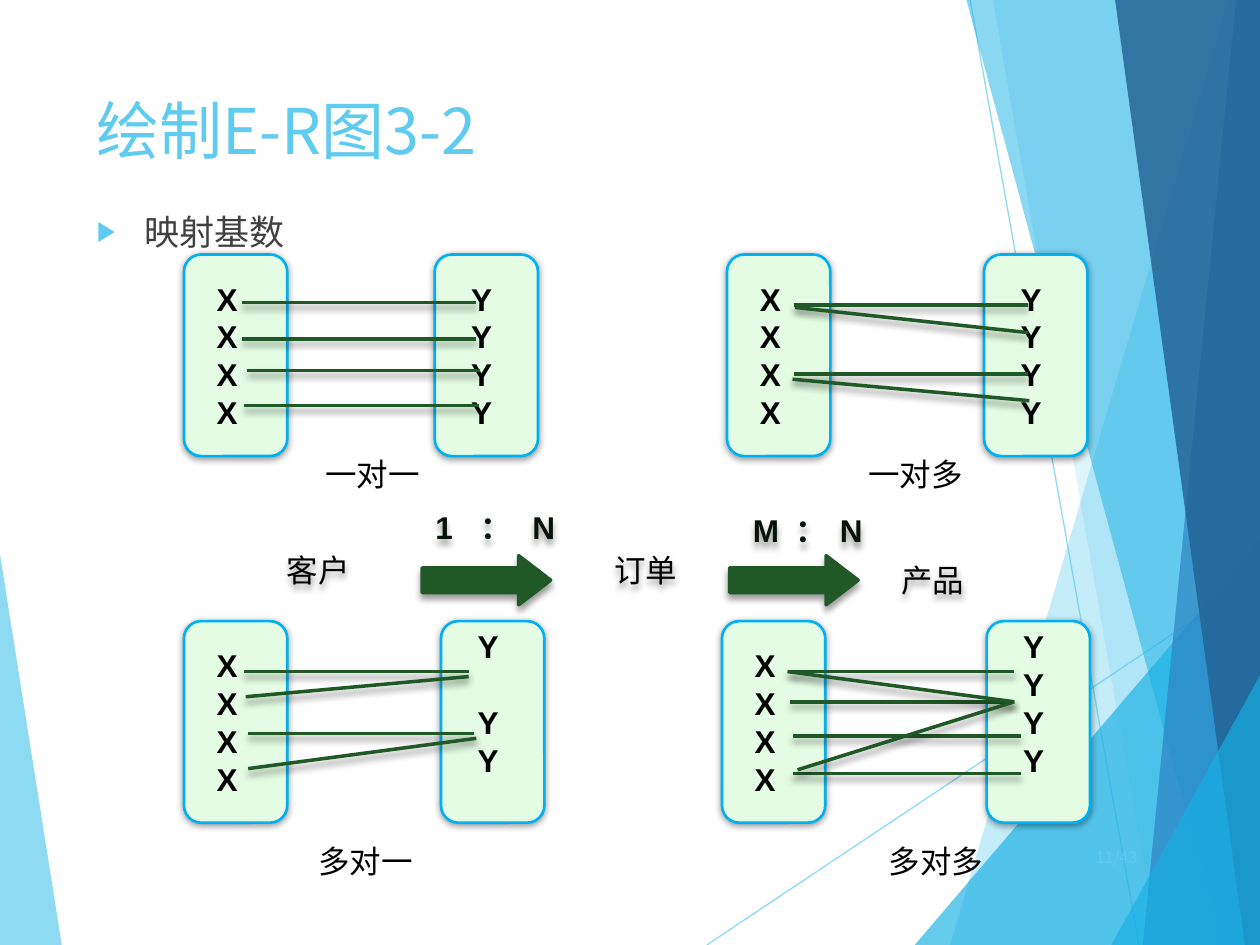
from dataclasses import dataclass

from lxml import etree
from pptx import Presentation
from pptx.dml.color import RGBColor
from pptx.enum.shapes import MSO_CONNECTOR, MSO_SHAPE
from pptx.enum.text import MSO_ANCHOR, PP_ALIGN
from pptx.oxml.ns import qn
from pptx.util import Inches, Pt

STRAIGHT = MSO_CONNECTOR.STRAIGHT
ROUNDED, ARROW = MSO_SHAPE.ROUNDED_RECTANGLE, MSO_SHAPE.RIGHT_ARROW
TOP, MIDDLE = MSO_ANCHOR.TOP, MSO_ANCHOR.MIDDLE
LEFT, CENTER = PP_ALIGN.LEFT, PP_ALIGN.CENTER
COLUMNS, ROWS = 20, 15
CELL = Inches(0.5)
CARD_WIDTH = 1.64
LETTER_ROW = 0.6


@dataclass(frozen=True)
class Theme:
    sky: str = "5FCBEF"
    cyan: str = "17B0E4"
    blue: str = "2E83C3"
    navy: str = "226292"
    card: str = "E4FCE4"
    card_line: str = "00B0F0"
    link: str = "215828"
    text: str = "000000"
    ratio: str = "071208"
    bullet_text: str = "404040"
    heading_font: str = "Noto Sans CJK SC"
    body_font: str = "Arial"
    entity_font: str = "Cabin"
    title_size: float = 36
    bullet_size: float = 20
    body_size: float = 18
    page_size: float = 9


THEME = Theme()


def grid(*cells):
    return [round(cell * CELL) for cell in cells]


def child(parent, tag, **attributes):
    return etree.SubElement(parent, qn(tag), attributes)


def paint(fill, color, opacity=100):
    fill.solid()
    fill.fore_color.rgb = RGBColor.from_string(color)
    if opacity < 100:
        for node in fill._xPr.iter(qn("a:srgbClr")):
            child(node, "a:alpha", val=str(opacity * 1000))


def outline(shape, color, width, opacity=100):
    paint(shape.line.fill, color, opacity)
    shape.line.width = Pt(width)


def set_shadow(shape, distance=None):
    effects = child(shape._element.spPr, "a:effectLst")
    if distance:
        shadow = child(effects, "a:outerShdw", blurRad=str(Pt(4)),
                       dist=str(Pt(distance)), dir="5400000", rotWithShape="0")
        color = child(shadow, "a:srgbClr", val="000000")
        child(color, "a:alpha", val="40000")


def set_font(paragraph, size, color, name, bold=False):
    font = paragraph.font
    font.size, font.name, font.bold = Pt(size), name, bold
    font.color.rgb = RGBColor.from_string(color)


def add_text(slide, box, text, size, color, name, align=LEFT, anchor=TOP):
    shape = slide.shapes.add_textbox(*grid(*box))
    frame = shape.text_frame
    frame.word_wrap, frame.vertical_anchor = True, anchor
    paragraph = frame.paragraphs[0]
    paragraph.text, paragraph.alignment = text, align
    set_font(paragraph, size, color, name)
    return shape


def add_line(slide, ends, color, width, opacity=100, shadow=None):
    line = slide.shapes.add_connector(STRAIGHT, *grid(*ends))
    outline(line, color, width, opacity)
    set_shadow(line, shadow)


def add_facet(slide, points, color, opacity):
    start, *others = [grid(*point) for point in points]
    builder = slide.shapes.build_freeform(*start)
    builder.add_line_segments(others, close=True)
    shape = builder.convert_to_shape()
    paint(shape.fill, color, opacity)
    shape.line.fill.background()
    set_shadow(shape)


def draw_backdrop(slide, box):
    left, top, width, height = box
    right, bottom = left + width, top + height
    add_facet(slide, [(left, 8.8), (0.98, bottom), (left, bottom)], THEME.sky, 70)
    add_line(slide, (11.22, bottom, right, 9.14), THEME.sky, 0.75, 70)
    add_line(slide, (15.4, top, 18.08, bottom), THEME.sky, 0.75, 70)
    facets = [
        (19.5, top, 15.08, THEME.sky, 36),
        (15.76, top, 18.38, THEME.sky, 20),
        (right, 8.58, 14.52, THEME.cyan, 66),
        (15.34, top, 19.4, THEME.cyan, 50),
        (19.62, top, 18.14, THEME.blue, 70),
        (17.7, top, 19.76, THEME.navy, 82),
        (right, 10.72, 17.64, THEME.cyan, 66),
    ]
    for upper_x, upper_y, lower_x, color, opacity in facets:
        points = [(upper_x, upper_y), (lower_x, bottom), (right, bottom), (right, upper_y)]
        add_facet(slide, points, color, opacity)


def draw_heading(slide, box):
    left, top, width, height = box
    add_text(slide, (left, top, width, 1.42), "绘制E-R图3-2", THEME.title_size,
             THEME.sky, THEME.heading_font, anchor=MIDDLE)
    shape = slide.shapes.add_textbox(*grid(left, top + 1.9, width, height - 1.9))
    shape.text_frame.word_wrap = True
    paragraph = shape.text_frame.paragraphs[0]
    paragraph.text = "映射基数"
    properties = paragraph._p.get_or_add_pPr()
    indent = Inches(0.38)
    properties.set("marL", str(indent))
    properties.set("indent", str(-indent))
    child(child(properties, "a:buClr"), "a:srgbClr", val=THEME.sky)
    child(properties, "a:buSzPct", val="80000")
    child(properties, "a:buFont", typeface=THEME.body_font)
    child(properties, "a:buChar", char="▶")
    set_font(paragraph, THEME.bullet_size, THEME.bullet_text, THEME.heading_font)


def draw_card(slide, box, letters, inset):
    shape = slide.shapes.add_shape(ROUNDED, *grid(*box))
    paint(shape.fill, THEME.card)
    outline(shape, THEME.card_line, 1.5)
    set_shadow(shape, 1)
    frame = shape.text_frame
    frame.vertical_anchor = MIDDLE
    filled = letters.rstrip()
    lower_margin = (len(letters) - len(filled)) * LETTER_ROW
    frame.margin_left, frame.margin_right, frame.margin_top, frame.margin_bottom = grid(
        inset, 0, 0, lower_margin)
    row_height = Pt(LETTER_ROW * 36)
    gap = 0
    paragraph = None
    for letter in filled:
        if letter == " ":
            gap += row_height
            continue
        paragraph = frame.add_paragraph() if paragraph else frame.paragraphs[0]
        paragraph.text, paragraph.alignment = letter, LEFT
        paragraph.line_spacing = row_height
        if gap:
            paragraph.space_before, gap = gap, 0
        set_font(paragraph, THEME.body_size, THEME.text, THEME.body_font, True)


def draw_mapping(slide, box, caption, caption_offset, targets, links):
    left, top, width, height = box
    draw_card(slide, (left, top, CARD_WIDTH, height), "XXXX", 0.44)
    draw_card(slide, (left + width - CARD_WIDTH, top, CARD_WIDTH, height), targets, 0.5)
    for x1, y1, x2, y2 in links:
        add_line(slide, (left + x1, top + y1, left + x2, top + y2), THEME.link, 2, shadow=3)
    offset_x, offset_y = caption_offset
    add_text(slide, (left + offset_x, top + offset_y, 3.7, 0.86), caption,
             THEME.body_size, THEME.text, THEME.body_font, CENTER)


def draw_ratio(slide, box, text, tabs):
    shape = add_text(slide, box, "", THEME.body_size, THEME.ratio, THEME.body_font)
    shape.text_frame.margin_left = grid(1.01)[0]
    paragraph = shape.text_frame.paragraphs[0]
    paragraph.text, paragraph.line_spacing = text, 1.5
    properties = paragraph._p.get_or_add_pPr()
    tab_list = etree.Element(qn("a:tabLst"))
    for position in grid(*tabs):
        child(tab_list, "a:tab", pos=str(position), algn="l")
    properties.find(qn("a:defRPr")).addprevious(tab_list)
    paragraph.font.bold = True
    set_shadow(shape, 3)


def draw_flow(slide, box):
    left, top, width, height = box
    for name, x, y in [("客户", 0, 0.84), ("订单", 5.2, 0.84), ("产品", 9.76, 1)]:
        entity = add_text(slide, (left + x, top + y, 1.74, 1.08), name, THEME.body_size,
                          THEME.text, THEME.entity_font, CENTER, MIDDLE)
        set_shadow(entity, 3)
    for x in (2.52, 7.4):
        arrow = slide.shapes.add_shape(ARROW, *grid(left + x, top + 1.16, 2.04, 0.78))
        arrow.adjustments[1] = 0.65
        paint(arrow.fill, THEME.link)
        outline(arrow, THEME.link, 2)
        set_shadow(arrow, 3)
    draw_ratio(slide, (left + 1.72, top, 3.94, 0.92), "1\t：\tN", (0.71, 1.54))
    draw_ratio(slide, (left + 6.76, top + 0.06, 3.94, 0.92), "M\t：\tN", (0.68, 1.38))


def main():
    presentation = Presentation()
    presentation.slide_width, presentation.slide_height = grid(COLUMNS, ROWS)
    slide = presentation.slides.add_slide(presentation.slide_layouts[6])
    draw_backdrop(slide, (0, 0, COLUMNS, ROWS))
    draw_heading(slide, (1.34, 1.34, 16.86, 2.7))
    draw_mapping(slide, (2.92, 4.04, 5.62, 3.2), "一对一", (1.14, 3.08), "YYYY", [
        (0.92, 0.76, 4.64, 0.76), (0.92, 1.34, 4.64, 1.34),
        (1, 1.84, 4.7, 1.84), (0.96, 2.4, 4.68, 2.4)])
    draw_mapping(slide, (11.54, 4.04, 5.72, 3.2), "一对多", (1.14, 3.08), "YYYY", [
        (1.06, 0.8, 4.78, 0.8), (1.08, 0.84, 4.78, 1.24),
        (1.06, 1.9, 4.78, 1.9), (1.04, 1.98, 4.8, 2.32)])
    draw_mapping(slide, (2.92, 9.86, 5.72, 3.2), "多对一", (1.03, 3.4), "Y YY ", [
        (0.96, 0.8, 4.52, 0.8), (0.98, 1.2, 4.52, 0.88),
        (1.02, 1.78, 4.6, 1.78), (1.02, 2.34, 4.64, 1.86)])
    draw_mapping(slide, (11.46, 9.86, 5.84, 3.2), "多对多", (1.55, 3.4), "YYYY ", [
        (1.08, 0.8, 4.64, 0.8), (1.08, 1.28, 4.64, 1.28), (1.04, 0.8, 4.64, 1.28),
        (1.12, 1.82, 4.74, 1.82), (1.12, 2.42, 4.74, 2.42), (1.2, 2.36, 4.64, 1.28)])
    draw_flow(slide, (4.18, 7.66, 11.5, 2.08))
    add_text(slide, (17.2, 13.2, 1.4, 0.8), "11/43", THEME.page_size, THEME.sky,
             THEME.heading_font, anchor=MIDDLE)
    presentation.save("out.pptx")


if __name__ == "__main__":
    main()
